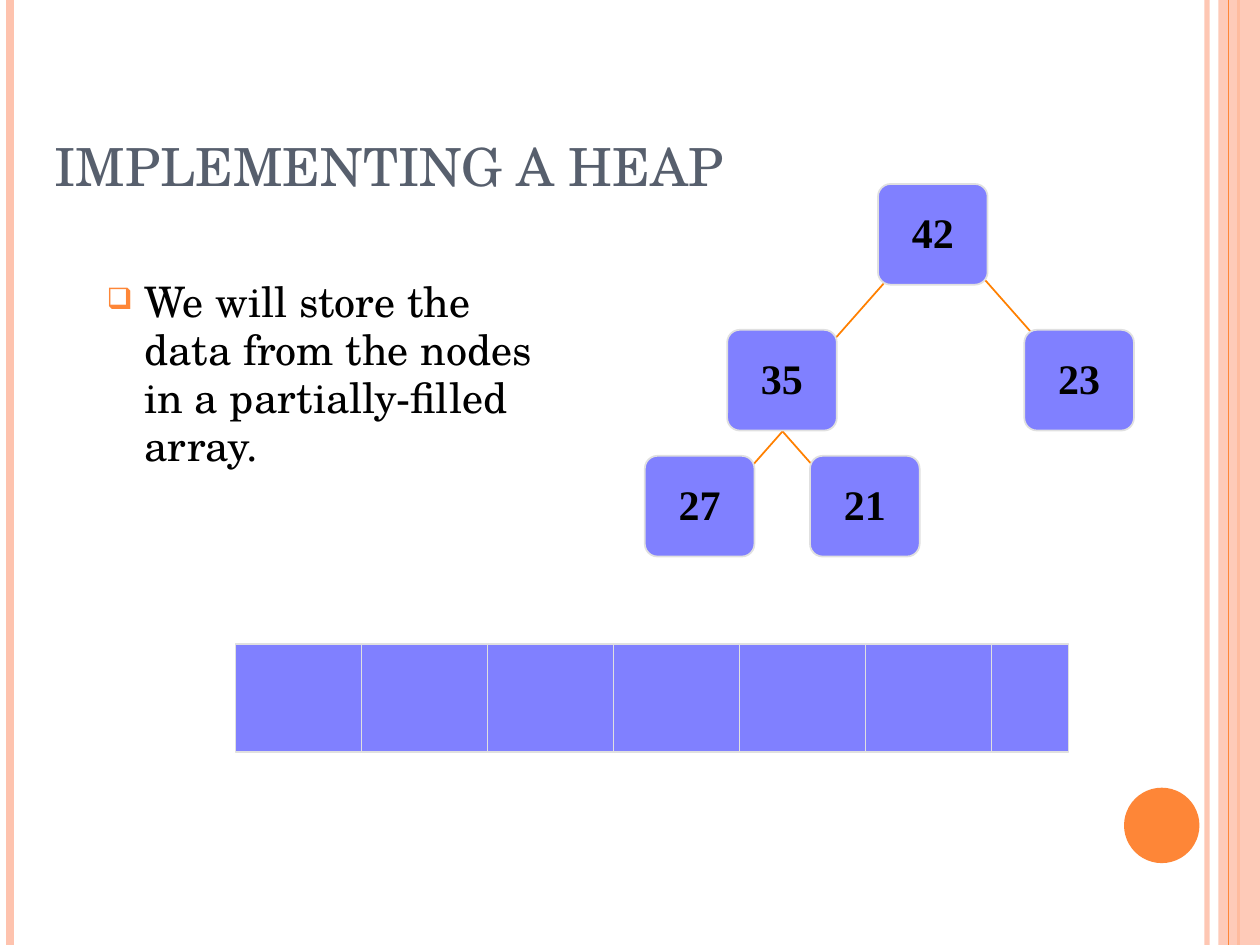
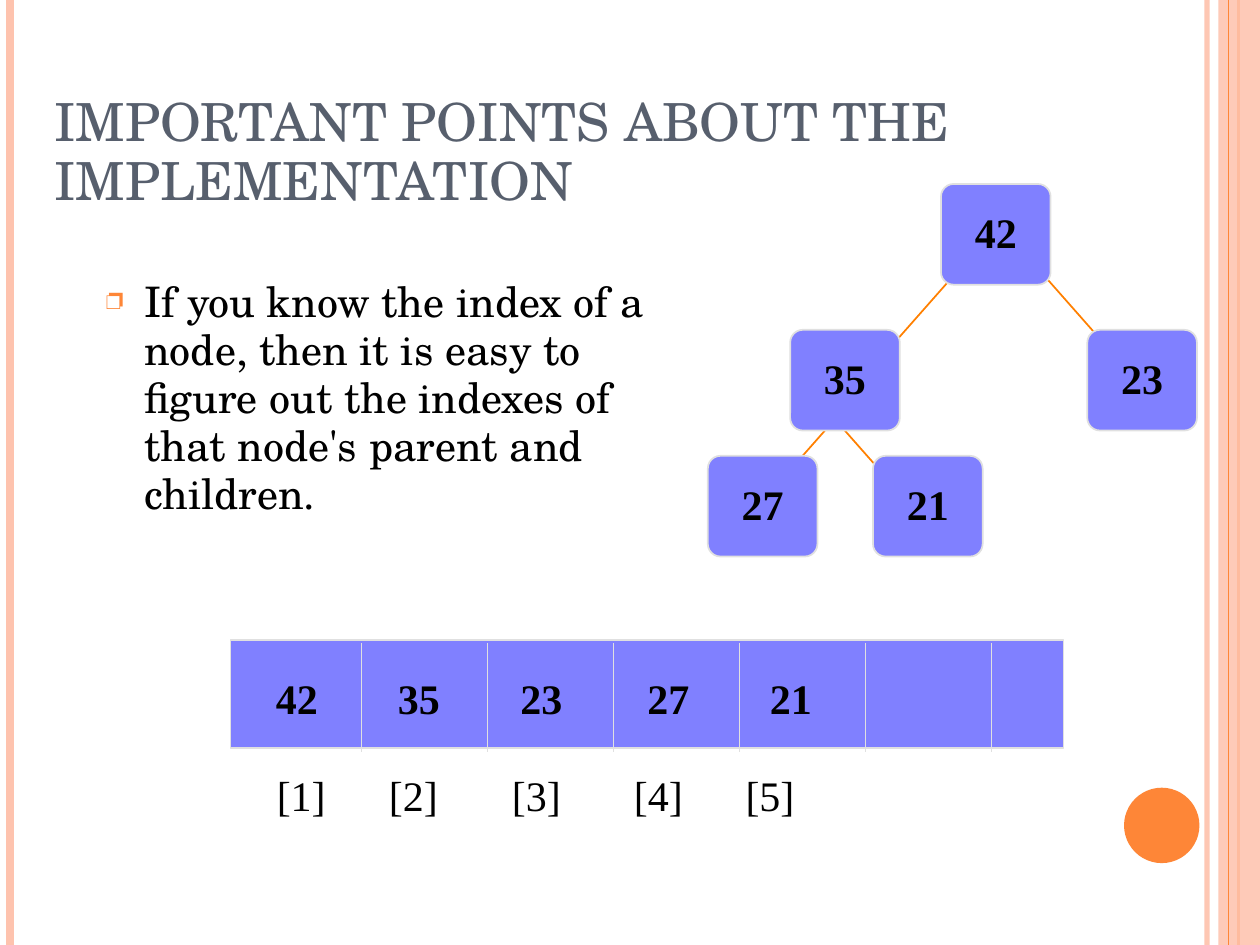
from lxml import etree
from pptx import Presentation
from pptx.dml.color import RGBColor
from pptx.enum.shapes import MSO_CONNECTOR, MSO_SHAPE
from pptx.enum.text import MSO_ANCHOR, MSO_AUTO_SIZE, PP_ALIGN
from pptx.oxml.ns import qn
from pptx.util import Cm, Pt

RECT, ROUND, OVAL = MSO_SHAPE.RECTANGLE, MSO_SHAPE.ROUNDED_RECTANGLE, MSO_SHAPE.OVAL
LEFT, CENTER = PP_ALIGN.LEFT, PP_ALIGN.CENTER
TOP, MIDDLE, BOTTOM = MSO_ANCHOR.TOP, MSO_ANCHOR.MIDDLE, MSO_ANCHOR.BOTTOM

PEACH = RGBColor(0xFE, 0xC3, 0xAE)
ORANGE = RGBColor(0xFE, 0x86, 0x37)
EDGE = RGBColor(0xFF, 0x80, 0x00)
VIOLET = RGBColor(0x80, 0x80, 0xFF)
PALE = RGBColor(0xE0, 0xE0, 0xE0)
SLATE = RGBColor(0x57, 0x5F, 0x6D)
BLACK = RGBColor(0, 0, 0)
SERIF, ROMAN = "TeX Gyre Schola", "Times New Roman"

WIDE, HIGH = 25.4, 19.05

# All lengths are in centimetres.
SLIDES = [
    {
        "title": "IMPLEMENTING A HEAP",
        "head": (0.94, 3.18),
        "body": "We will store the data from the nodes in a partially-filled array.",
        "bullet": "❑", "width": 9.09,
        "shift": 0, "fork": 16.23, "bar": (4.75, 12.98),
        "cells": [], "marks": [],
    },
    {
        "title": "IMPORTANT POINTS ABOUT THE IMPLEMENTATION",
        "head": (0.66, 3.76),
        "body": "If you know the index of a node, then it is easy to figure out "
                "the indexes of that node's parent and children.",
        "bullet": "❐", "width": 12.37,
        "shift": 1.27, "fork": 15.8, "bar": (4.65, 12.9),
        "cells": [("42", 5.31), ("35", 7.77), ("23", 10.24), ("27", 12.8), ("21", 15.27)],
        "marks": [("[1]", 0), ("[2]", 2.26), ("[3]", 4.74), ("[4]", 7.2), ("[5]", 9.45)],
    },
]
NODES = [("42", 17.7, 3.71), ("35", 14.66, 6.65), ("23", 20.65, 6.65),
         ("27", 13.0, 9.19), ("21", 16.33, 9.19)]
RAILS = [(24.33, PEACH, 3, 93), (0.2, PEACH, 4.5, 100),
         (24.97, ORANGE, 1.5, 100), (24.77, ORANGE, 0.75, 100)]


def fade(part, alpha):
    """Set the opacity, in percent, of the first colour in a shape's properties."""
    color = next(part._element.spPr.iter(qn("a:srgbClr")))
    etree.SubElement(color, qn("a:alpha"), val=str(alpha * 1000))


def add_line(slide, start, end, color, weight):
    line = slide.shapes.add_connector(MSO_CONNECTOR.STRAIGHT, *map(Cm, start + end))
    line.line.color.rgb = color
    line.line.width = Pt(weight)
    etree.SubElement(line._element.spPr, qn("a:effectLst"))
    return line


def add_shape(slide, kind, box, fill, border=None):
    shape = slide.shapes.add_shape(kind, *map(Cm, box))
    shape.shadow.inherit = False
    shape.fill.solid()
    shape.fill.fore_color.rgb = fill
    if border is None:
        shape.line.fill.background()
    else:
        shape.line.color.rgb = border
        shape.line.width = Pt(1)
    return shape


def write(shape, text, font, size, color=BLACK, bold=False, align=LEFT, anchor=TOP, wrap=True):
    frame = shape.text_frame
    frame.auto_size = MSO_AUTO_SIZE.NONE
    frame.word_wrap = wrap
    frame.vertical_anchor = anchor
    para = frame.paragraphs[0]
    para.alignment = align
    para.line_spacing = 0.95
    run = para.add_run()
    run.text = text
    run.font.name = font
    run.font.size = Pt(size)
    run.font.bold = bold
    run.font.color.rgb = color
    return para


def add_text(slide, box, *args, **style):
    return write(slide.shapes.add_textbox(*map(Cm, box)), *args, **style)


def add_bullet(para, mark):
    props = para._p.get_or_add_pPr()
    props.set("marL", str(Cm(0.76)))
    props.set("indent", str(-Cm(0.76)))
    color = etree.SubElement(props, qn("a:buClr"))
    etree.SubElement(color, qn("a:srgbClr"), val=str(ORANGE))
    etree.SubElement(props, qn("a:buSzPct"), val="70000")
    etree.SubElement(props, qn("a:buChar"), char=mark)


def add_tabs(para, stops):
    tabs = etree.SubElement(para._p.get_or_add_pPr(), qn("a:tabLst"))
    for stop in stops:
        etree.SubElement(tabs, qn("a:tab"), pos=str(Cm(stop)), algn="l")


def add_frame(slide):
    """Draw the side rails, the band and the disc that every slide has."""
    for x, color, weight, alpha in RAILS:
        rail = add_line(slide, (x, 0), (x, HIGH), color, weight)
        if alpha < 100:
            fade(rail, alpha)
        if x == RAILS[2][0]:
            fade(add_shape(slide, RECT, (24.56, 0, 0.84, HIGH), PEACH), 87)
    add_shape(slide, OVAL, (22.66, 15.88, 1.52, 1.52), ORANGE)


def add_tree(slide, shift, fork):
    """Draw the heap, moved right by shift; fork is where the edge to 27 starts."""
    edges = [(17.88, 5.64, -1), (19.74, 5.51, 1), (fork, 8.18, -1), (15.32, 8.18, 1)]
    for x, y, side in edges:
        x += shift
        add_line(slide, (x, y), (x + side * 1.57, y + 1.78), EDGE, 1)
    for value, x, y in NODES:
        node = add_shape(slide, ROUND, (x + shift, y, 2.21, 2.03), VIOLET, PALE)
        node.adjustments[0] = 0.126
        write(node, value, ROMAN, 24, bold=True, align=CENTER, anchor=MIDDLE)


def add_array(slide, bar, cells, marks):
    add_shape(slide, RECT, bar + (16.79, 2.18), VIOLET, PALE)
    for i in range(6):
        x = 7.29 + 2.54 * i
        add_line(slide, (x, 12.96), (x, 15.16), PALE, 1)
    for value, x in cells:
        add_text(slide, (x, 13.51, 1.35, 1.22), value, ROMAN, 24, bold=True, wrap=False)
    if marks:
        names, stops = zip(*marks)
        para = add_text(slide, (5.33, 15.47, 16.28, 1.19), "\t".join(names), ROMAN, 24)
        add_tabs(para, stops[1:])


def add_slide(deck, data):
    slide = deck.slides.add_slide(deck.slide_layouts[5])
    add_frame(slide)
    title = slide.shapes.title
    top, height = data["head"]
    title.left, title.top, title.width, title.height = map(Cm, (0.84, top, 21.59, height))
    write(title, data["title"], SERIF, 30, SLATE, anchor=BOTTOM)
    body = add_text(slide, (1.9, 5.51, data["width"], 11.43), data["body"], SERIF, 24)
    add_bullet(body, data["bullet"])
    add_array(slide, data["bar"], data["cells"], data["marks"])
    add_tree(slide, data["shift"], data["fork"])


def main():
    deck = Presentation()
    deck.slide_width, deck.slide_height = Cm(WIDE), Cm(HIGH)
    for data in SLIDES:
        add_slide(deck, data)
    deck.save("out.pptx")


if __name__ == "__main__":
    main()
